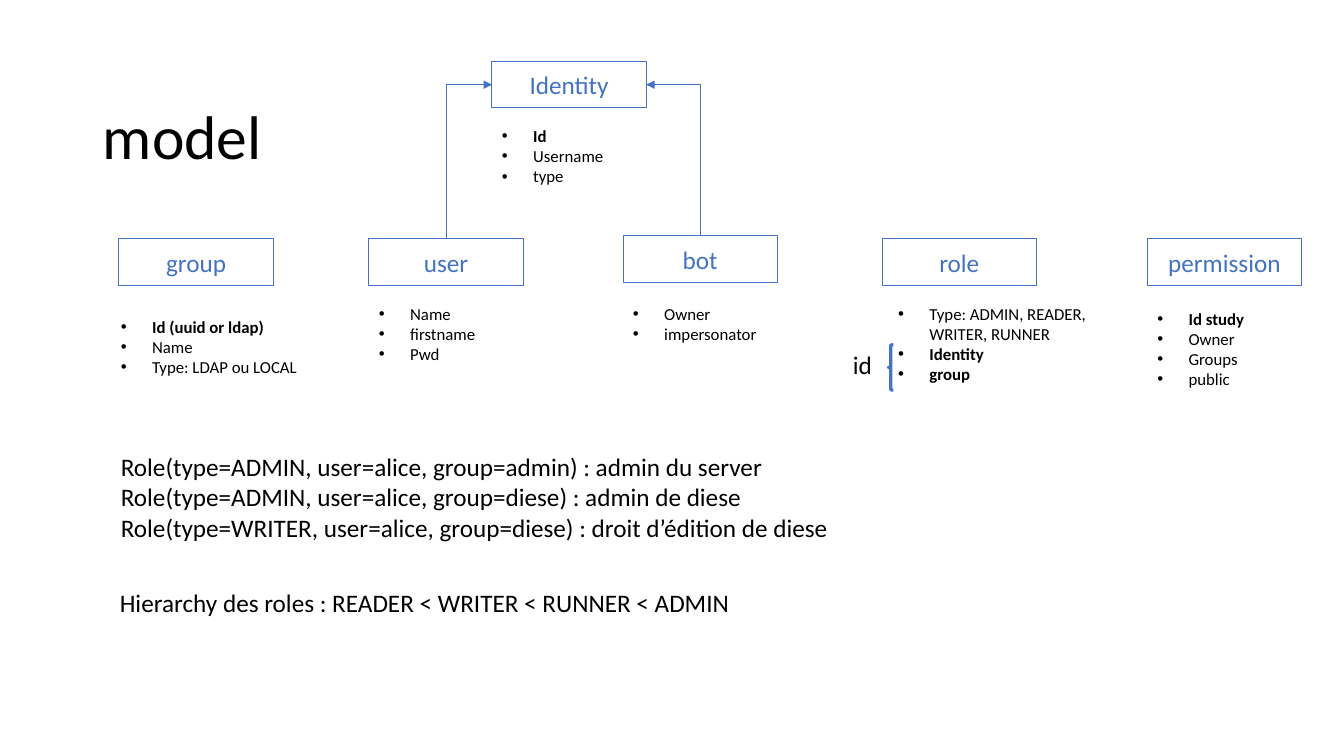
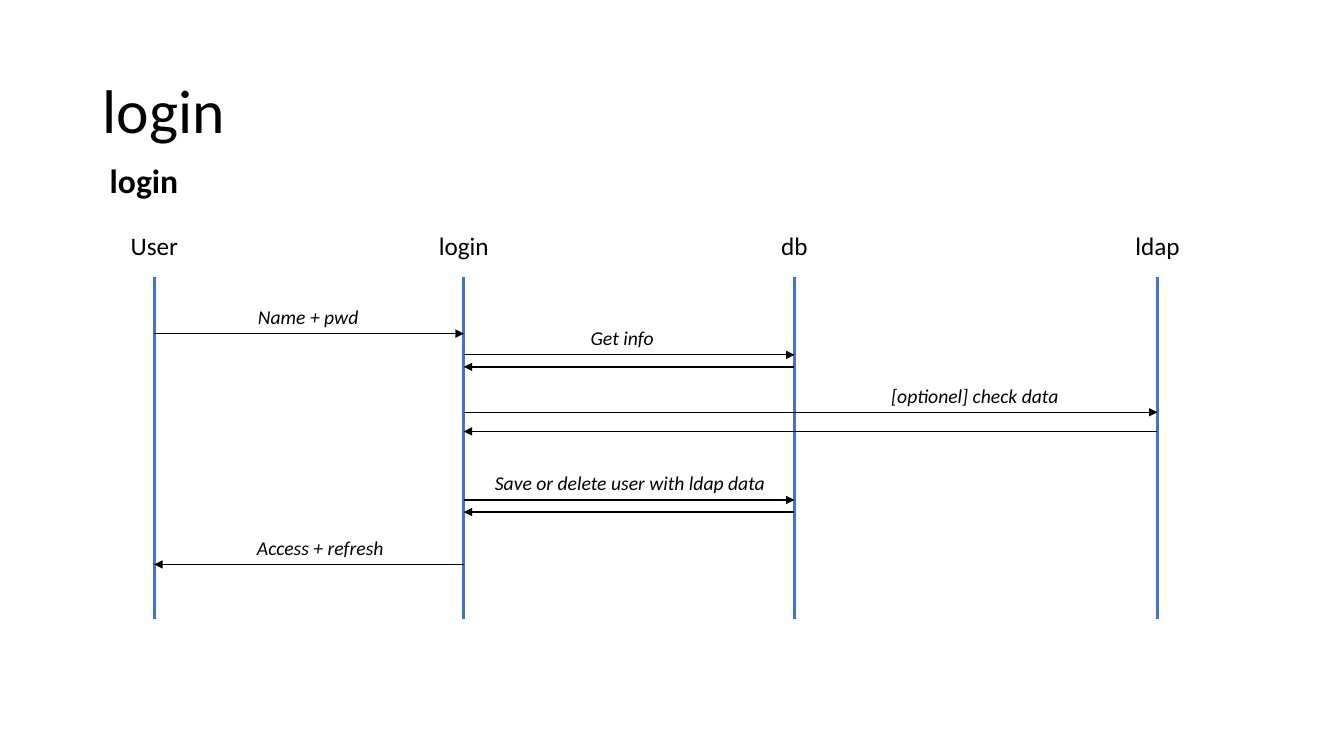
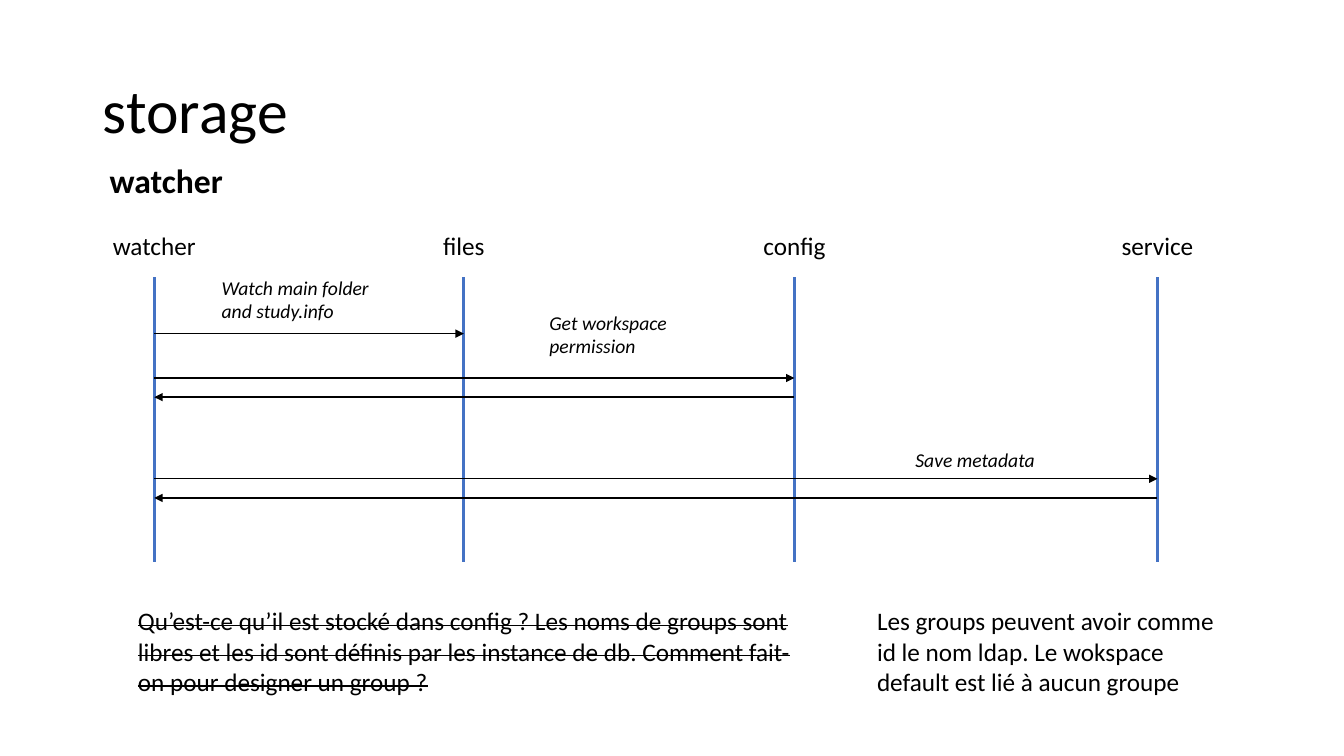
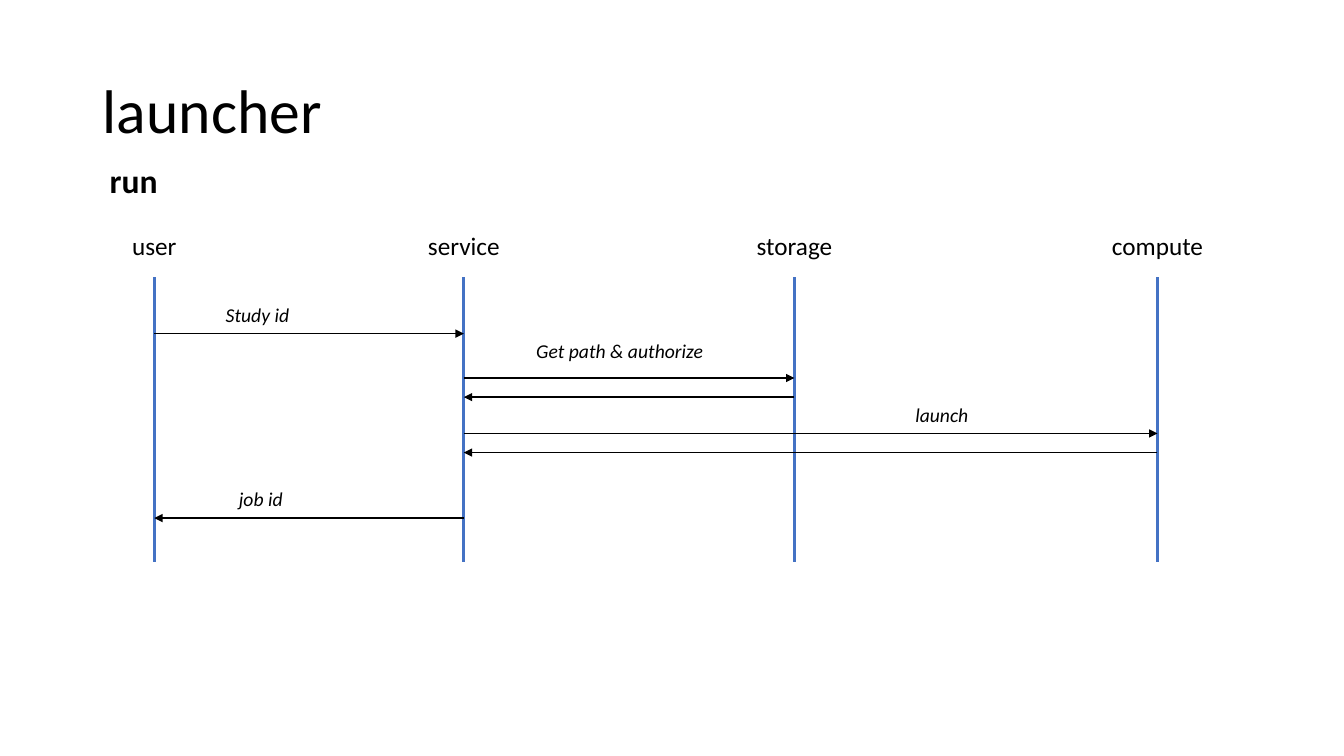
from dataclasses import dataclass

from lxml.etree import SubElement
from pptx import Presentation
from pptx.dml.color import RGBColor
from pptx.enum.shapes import MSO_CONNECTOR, MSO_SHAPE
from pptx.enum.text import MSO_ANCHOR, MSO_AUTO_SIZE, PP_ALIGN
from pptx.oxml.ns import qn
from pptx.util import Inches, Pt


@dataclass(frozen=True)
class Theme:
    font: str = "Calibri"
    ink: RGBColor = RGBColor(0x00, 0x00, 0x00)
    accent: RGBColor = RGBColor(0x44, 0x72, 0xC4)
    title: int = 44
    heading: int = 24
    body: int = 18
    message: int = 14
    field: int = 12
    frame_line: float = 0.75
    link_line: float = 0.5
    arrow_line: float = 1
    heavy_line: float = 2.25
    bullet_indent: float = 0.31
    text_margin: float = 0.1


@dataclass(frozen=True)
class Box:
    left: float
    top: float
    width: float
    height: float = 0

    def inches(self):
        return [Inches(value) for value in (self.left, self.top, self.width, self.height)]

    def inner(self, left, top, width, height=0):
        return Box(self.left + left, self.top + top, width, height)


@dataclass(frozen=True)
class Entity:
    name: str
    box: Box
    fields: tuple
    keys: tuple
    list_left: float
    list_top: float
    list_width: float
    lines: int


@dataclass(frozen=True)
class Message:
    start: int
    end: int
    row: float
    text: str
    left: float
    width: float
    lift: float = 0
    lines: int = 1
    reply: float = 0


THEME = Theme()
TITLE = Box(0.92, 0.4, 11.5, 1.45)
COLUMNS = (0, 3.07, 6.35, 9.95)


def apply(target, formats):
    for name, value in formats.items():
        setattr(target, name, value)


def write(frame, lines, size, color=THEME.ink, align=PP_ALIGN.LEFT, spacing=None, **style):
    for index, line in enumerate(lines):
        para = frame.paragraphs[0] if index == 0 else frame.add_paragraph()
        apply(para, {"alignment": align, "line_spacing": spacing})
        span = para.add_run()
        span.text = line
        apply(span.font, {"name": THEME.font, "size": Pt(size), **style})
        span.font.color.rgb = color
    return frame


def text_height(lines, size):
    return lines * size * 1.2 / 72 + THEME.text_margin


def add_text(page, box, lines, size, wrap=True, **style):
    frame = page.shapes.add_textbox(*box.inches()).text_frame
    apply(frame, {"word_wrap": wrap, "auto_size": MSO_AUTO_SIZE.SHAPE_TO_FIT_TEXT})
    return write(frame, lines, size, **style)


def add_title(page, text, box=TITLE):
    title = page.shapes.title
    apply(title, dict(zip(("left", "top", "width", "height"), box.inches())))
    title.text_frame.vertical_anchor = MSO_ANCHOR.MIDDLE
    write(title.text_frame, [text], THEME.title, spacing=0.9)


def add_outline(page, kind, box, weight):
    shape = page.shapes.add_shape(kind, *box.inches())
    shape.shadow.inherit = False
    shape.fill.background()
    shape.line.color.rgb = THEME.accent
    shape.line.width = Pt(weight)
    return shape


def add_line(page, start, end, color, weight, arrow=None, kind=MSO_CONNECTOR.STRAIGHT):
    line = page.shapes.add_connector(kind, *[Inches(value) for value in (*start, *end)])
    line.line.color.rgb = color
    line.line.width = Pt(weight)
    properties = line._element.spPr
    if arrow:
        SubElement(properties.find(qn("a:ln")), qn(arrow), type="triangle")
    SubElement(properties, qn("a:effectLst"))
    return line


def add_entity(page, entity):
    frame = add_outline(page, MSO_SHAPE.RECTANGLE, entity.box, THEME.frame_line)
    frame.text_frame.vertical_anchor = MSO_ANCHOR.MIDDLE
    write(frame.text_frame, [entity.name], THEME.body, THEME.accent, PP_ALIGN.CENTER)
    box = entity.box.inner(entity.list_left, entity.list_top, entity.list_width,
                           text_height(entity.lines, THEME.field))
    fields = add_text(page, box, entity.fields, THEME.field)
    for para in fields.paragraphs:
        para.font.bold = False
        para.runs[0].font.bold = para.text in entity.keys
        properties = para._p.get_or_add_pPr()
        indent = Inches(THEME.bullet_indent)
        properties.set("marL", str(indent))
        properties.set("indent", str(-indent))
        properties.insert(0, properties.makeelement(qn("a:buFont"), {"typeface": "Arial"}))
        properties.insert(1, properties.makeelement(qn("a:buChar"), {"char": "•"}))
    return frame


def add_inheritance(page, parent, child, side):
    link = add_line(page, (0, 0), (1, 1), THEME.accent, THEME.link_line,
                    "a:headEnd", MSO_CONNECTOR.ELBOW)
    link.begin_connect(parent, side)
    link.end_connect(child, 0)
    link._element.spPr.find(qn("a:prstGeom")).set("prst", "bentConnector2")


def add_role_key(page, box):
    add_outline(page, MSO_SHAPE.LEFT_BRACE, box, THEME.heavy_line)
    label = box.inner(-0.45, 0, 0.39, text_height(1, THEME.body))
    add_text(page, label, ["id"], THEME.body, wrap=False)


def add_sequence(page, box, actors, messages):
    def x(column):
        return box.left + COLUMNS[column]

    for column, (name, width) in enumerate(actors):
        add_line(page, (x(column), box.top), (x(column), box.top + box.height),
                 THEME.accent, THEME.heavy_line)
        label = box.inner(COLUMNS[column] - width / 2, -0.51, width,
                          text_height(1, THEME.body))
        add_text(page, label, [name], THEME.body, wrap=False, align=PP_ALIGN.CENTER)

    for message in messages:
        y = box.top + message.row
        ends = (x(message.start), y), (x(message.end), y)
        add_line(page, *ends, THEME.ink, THEME.arrow_line, "a:tailEnd")
        if message.reply:
            back = y + message.reply
            add_line(page, (x(message.end), back), (x(message.start), back),
                     THEME.ink, THEME.arrow_line, "a:tailEnd")
        height = text_height(message.lines, THEME.message)
        label = box.inner(message.left, message.row - message.lift - height,
                          message.width, height)
        add_text(page, label, [message.text], THEME.message, italic=True)


def add_page(deck):
    return deck.slides.add_slide(deck.slide_layouts[5])


def model_slide(deck):
    page = add_page(deck)
    add_title(page, "model", TITLE.inner(0, 0.26, TITLE.width, TITLE.height))

    def card(left, top):
        return Box(left, top, 1.53, 0.46)

    entities = (
        Entity("Identity", card(4.88, 0.61), ("Id", "Username", "type"), ("Id",),
               0, 0.59, 1.25, 3),
        Entity("group", card(1.18, 2.37),
               ("Id (uuid or ldap)", "Name", "Type: LDAP ou LOCAL"),
               ("Id (uuid or ldap)",), -0.08, 0.72, 2.05, 3),
        Entity("user", card(3.66, 2.37), ("Name", "firstname", "Pwd"), (),
               0, 0.59, 1.2, 3),
        Entity("bot", card(6.18, 2.34), ("Owner", "impersonator"), (),
               0, 0.62, 1.5, 2),
        Entity("role", card(8.75, 2.37),
               ("Type: ADMIN, READER, WRITER, RUNNER", "Identity", "group"),
               ("Identity", "group"), 0.06, 0.59, 2.25, 4),
        Entity("permission", card(11.38, 2.37),
               ("Id study", "Owner", "Groups", "public"), ("Id study",),
               0, 0.64, 1.15, 4),
    )
    frames = {entity.name: add_entity(page, entity) for entity in entities}
    add_inheritance(page, frames["Identity"], frames["user"], 1)
    add_inheritance(page, frames["Identity"], frames["bot"], 3)
    add_role_key(page, Box(8.81, 3.42, 0.05, 0.45))

    examples = (
        "Role(type=ADMIN, user=alice, group=admin) : admin du server",
        "Role(type=ADMIN, user=alice, group=diese) : admin de diese",
        "Role(type=WRITER, user=alice, group=diese) : droit d’édition de diese",
    )
    hierarchy = ("Hierarchy des roles : READER < WRITER < RUNNER < ADMIN",)
    for left, top, lines in ((1.1, 4.43, examples), (1.09, 5.78, hierarchy)):
        box = Box(left, top, 7.56, text_height(len(lines), THEME.body))
        add_text(page, box, lines, THEME.body)


def sequence_slide(deck, title, heading, height, actors, messages):
    page = add_page(deck)
    add_title(page, title)
    add_text(page, Box(0.99, 1.54, 1.4, text_height(1, THEME.heading)),
             [heading], THEME.heading, bold=True)
    add_sequence(page, Box(1.53, 2.75, COLUMNS[-1], height), actors, messages)
    return page


def login_slide(deck):
    sequence_slide(
        deck, "login", "login", 3.39,
        (("User", 0.68), ("login", 0.7), ("db", 0.47), ("ldap", 0.65)),
        (
            Message(0, 1, 0.56, "Name + pwd", 0.93, 1.3),
            Message(1, 2, 0.77, "Get info", 4.23, 0.9, reply=0.12),
            Message(1, 3, 1.34, "[optionel] check data", 7.21, 1.95, reply=0.19),
            Message(1, 2, 2.21, "Save or delete user with ldap data", 3.28, 3,
                    reply=0.12),
            Message(1, 0, 2.85, "Access + refresh", 0.92, 1.55),
        ),
    )


def storage_slide(deck):
    page = sequence_slide(
        deck, "storage", "watcher", 2.83,
        (("watcher", 1.03), ("files", 0.62), ("config", 0.83), ("service", 0.92)),
        (
            Message(0, 1, 0.56, "Watch main folder and study.info", 0.57, 1.72,
                    lift=0.06, lines=2),
            Message(0, 2, 1, "Get workspace permission", 3.82, 1.55,
                    lift=0.15, lines=2, reply=0.19),
            Message(0, 3, 2, "Save metadata", 7.45, 1.45, lift=0.02, reply=0.19),
        ),
    )
    height = text_height(3, THEME.body)
    question = add_text(
        page, Box(1.27, 5.96, 6.67, height),
        ["Qu’est-ce qu’il est stocké dans config ? Les noms de groups sont libres "
         "et les id sont définis par les instance de db. Comment fait-on pour "
         "designer un group ?"], THEME.body)
    question.paragraphs[0].runs[0]._r.get_or_add_rPr().set("strike", "sngStrike")
    add_text(
        page, Box(8.6, 5.96, 3.69, height),
        ["Les groups peuvent avoir comme id le nom ldap. Le wokspace default est "
         "lié à aucun groupe"], THEME.body)


def launcher_slide(deck):
    sequence_slide(
        deck, "launcher", "run", 2.83,
        (("user", 0.65), ("service", 0.92), ("storage", 0.96), ("compute", 1.12)),
        (
            Message(0, 1, 0.56, "Study id", 0.61, 1.72, lift=0.02),
            Message(1, 2, 1, "Get path & authorize", 3.69, 2.05, lift=0.1, reply=0.19),
            Message(1, 3, 1.55, "launch", 7.45, 0.8, lift=0.02, reply=0.19),
            Message(1, 0, 2.39, "job id", 0.74, 1.72, lift=0.03),
        ),
    )


def main():
    deck = Presentation()
    apply(deck, {"slide_width": Inches(13.33), "slide_height": Inches(7.5)})
    for build in (model_slide, login_slide, storage_slide, launcher_slide):
        build(deck)
    deck.save("out.pptx")


main()
